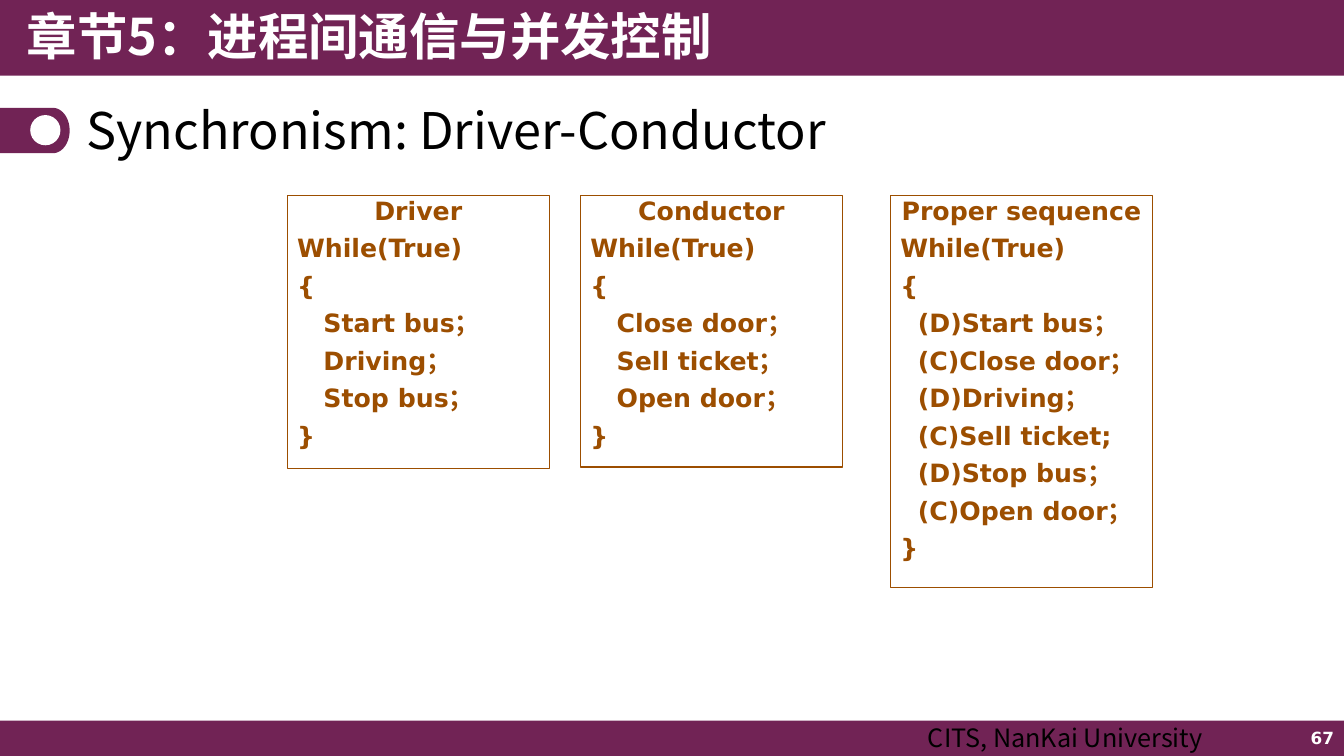
import math

from pptx import Presentation
from pptx import util as u
from pptx.dml.color import RGBColor
from pptx.enum import shapes, text
from pptx.oxml.xmlchemy import OxmlElement


class Theme:
    plum = RGBColor.from_string("712355")
    brown = RGBColor.from_string("9C4E00")
    white = RGBColor.from_string("FFFFFF")
    black = RGBColor.from_string("000000")
    heading, body, number = u.Pt(36), u.Pt(18), u.Pt(12)
    sans, cjk = "DejaVu Sans", "Noto Sans CJK SC"
    outline = u.Pt(0.75)
    code_leading, code_gap = 0.8, u.Pt(9.5)


class Board:
    """Draws on one slide; lengths are cells of a 160 by 90 grid."""

    columns, rows = 160, 90

    def __init__(self, deck, theme):
        self.theme = theme
        self.slide = deck.slides.add_slide(deck.slide_layouts[6])
        self.column = deck.slide_width / self.columns
        self.row = deck.slide_height / self.rows

    def place(self, left, top, width, height):
        return (round(left * self.column), round(top * self.row),
                round(width * self.column), round(height * self.row))

    def paint(self, shape, fill=None, line=None):
        shape.shadow.inherit = False
        if fill is None:
            shape.fill.background()
        else:
            shape.fill.solid()
            shape.fill.fore_color.rgb = fill
        if line is None:
            shape.line.fill.background()
        else:
            shape.line.color.rgb = line
            shape.line.width = self.theme.outline
        return shape

    def shape(self, kind, area, fill=None, line=None):
        return self.paint(
            self.slide.shapes.add_shape(kind, *self.place(*area)), fill, line)

    def tab(self, top, straight, width, height, fill):
        """Band from the left edge whose right end is a half ellipse."""
        angles = [math.radians(a) for a in range(-90, 91, 6)]
        curve = [((straight + (width - straight) * math.cos(a)) * self.column,
                  (top + height / 2 * (1 + math.sin(a))) * self.row)
                 for a in angles]
        outline = self.slide.shapes.build_freeform(0, round(top * self.row))
        outline.add_line_segments(
            [(round(x), round(y)) for x, y in curve]
            + [(0, round((top + height) * self.row))], close=True)
        return self.paint(outline.convert_to_shape(), fill)

    def typeset(self, paragraph, words, size, font, color, bold=False):
        paragraph.text = words
        for run in paragraph.runs:
            run.font.size, run.font.name, run.font.bold = size, font, bold
            run.font.color.rgb = color
            east_asian = OxmlElement("a:ea")
            east_asian.set("typeface", font)
            run.font._element.find("{*}latin").addnext(east_asian)

    def label(self, words, area, size, font, color, bold=False,
              align=text.PP_ALIGN.LEFT, anchor=text.MSO_ANCHOR.TOP, leading=1.0):
        frame = self.slide.shapes.add_textbox(*self.place(*area)).text_frame
        frame.word_wrap = True
        frame.vertical_anchor = anchor
        paragraph = frame.paragraphs[0]
        paragraph.alignment, paragraph.line_spacing = align, leading
        self.typeset(paragraph, words, size, font, color, bold)

    def process(self, name, steps, area):
        """Outlined box with a centred name above a loop of steps."""
        theme = self.theme
        box = self.shape(shapes.MSO_SHAPE.RECTANGLE, area, line=theme.brown)
        frame = box.text_frame
        frame.word_wrap = True
        frame.vertical_anchor = text.MSO_ANCHOR.TOP
        for index, words in enumerate([name, "While(True)", "{", *steps, "}"]):
            paragraph = frame.add_paragraph() if index else frame.paragraphs[0]
            paragraph.line_spacing = theme.code_leading
            paragraph.alignment = text.PP_ALIGN.LEFT if index else text.PP_ALIGN.CENTER
            if index:
                paragraph.space_before = theme.code_gap
            self.typeset(paragraph, words, theme.body, theme.sans, theme.brown, True)


PROCESSES = [
    ("Driver", 34.2, 32.5,
     ["   Start bus；", "   Driving；", "   Stop bus；"]),
    ("Conductor", 69.1, 32.3,
     ["   Close door；", "   Sell ticket；", "   Open door；"]),
    ("Proper sequence", 106, 46.7,
     ["  (D)Start bus；", "  (C)Close door；", "  (D)Driving；",
      "  (C)Sell ticket;", "  (D)Stop bus；", "  (C)Open door；"]),
]


def main():
    deck = Presentation()
    deck.slide_width, deck.slide_height = u.Inches(13.33), u.Inches(7.5)
    theme = Theme()
    board = Board(deck, theme)
    middle = text.MSO_ANCHOR.MIDDLE

    for top, height in [(85.8, 4.2), (0, 9)]:
        board.shape(shapes.MSO_SHAPE.RECTANGLE,
                    (0, top, board.columns, height), theme.plum)
    board.tab(12.84, 6.3, 8.3, 5.4, theme.plum)
    board.shape(shapes.MSO_SHAPE.OVAL, (3.6, 13.7, 3.6, 3.6), theme.white)

    board.label("章节5：进程间通信与并发控制", (2, 0, 89.3, 9.2),
                theme.heading, theme.cjk, theme.white, bold=True)
    board.label("67", (124, 85.7, 36, 4.3), theme.number, theme.sans,
                theme.white, bold=True, align=text.PP_ALIGN.RIGHT, anchor=middle)
    board.label("Synchronism: Driver-Conductor", (9.1, 11.4, 141.7, 8.9),
                theme.heading, theme.cjk, theme.black, anchor=middle, leading=0.9)
    board.label("CITS, NanKai University", (109.3, 85.4, 50.6, 4),
                theme.body, theme.cjk, theme.black)

    for name, left, height, steps in PROCESSES:
        board.process(name, steps, (left, 23.3, 31.2, height))
    deck.save("out.pptx")


if __name__ == "__main__":
    main()
